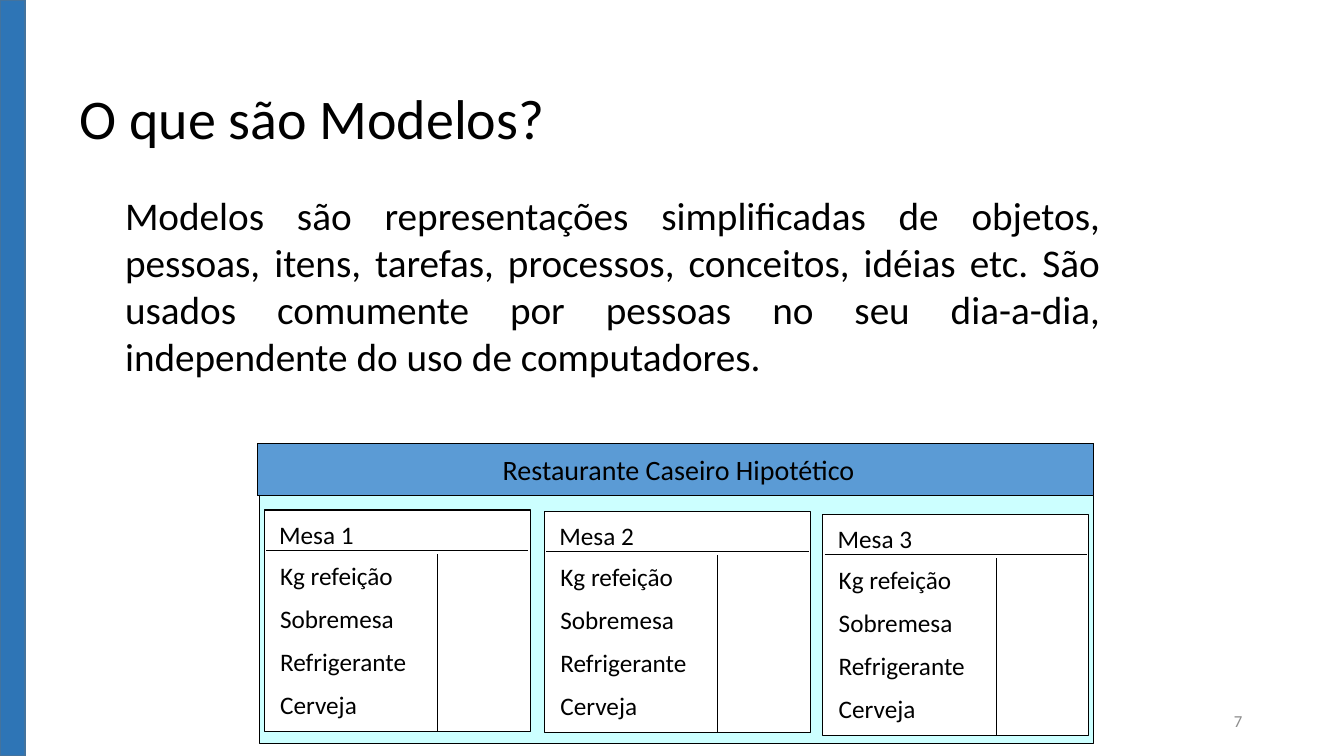
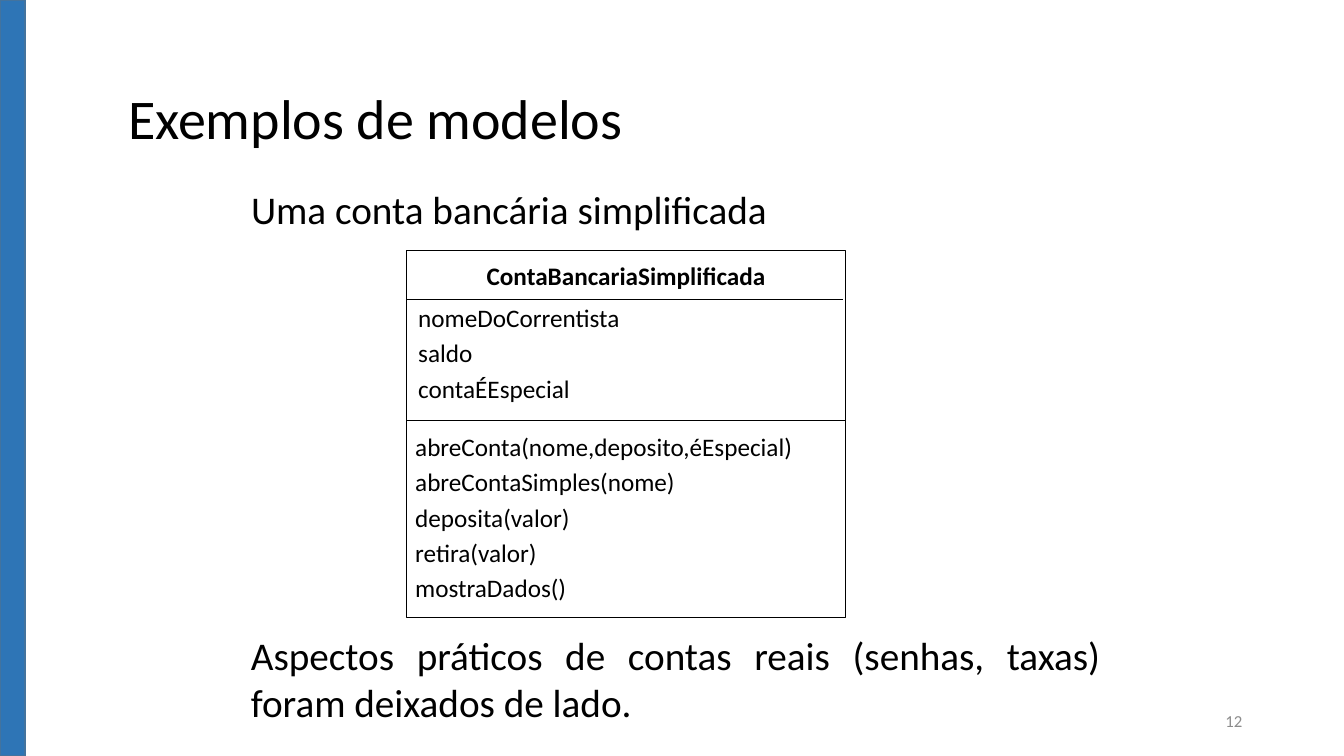
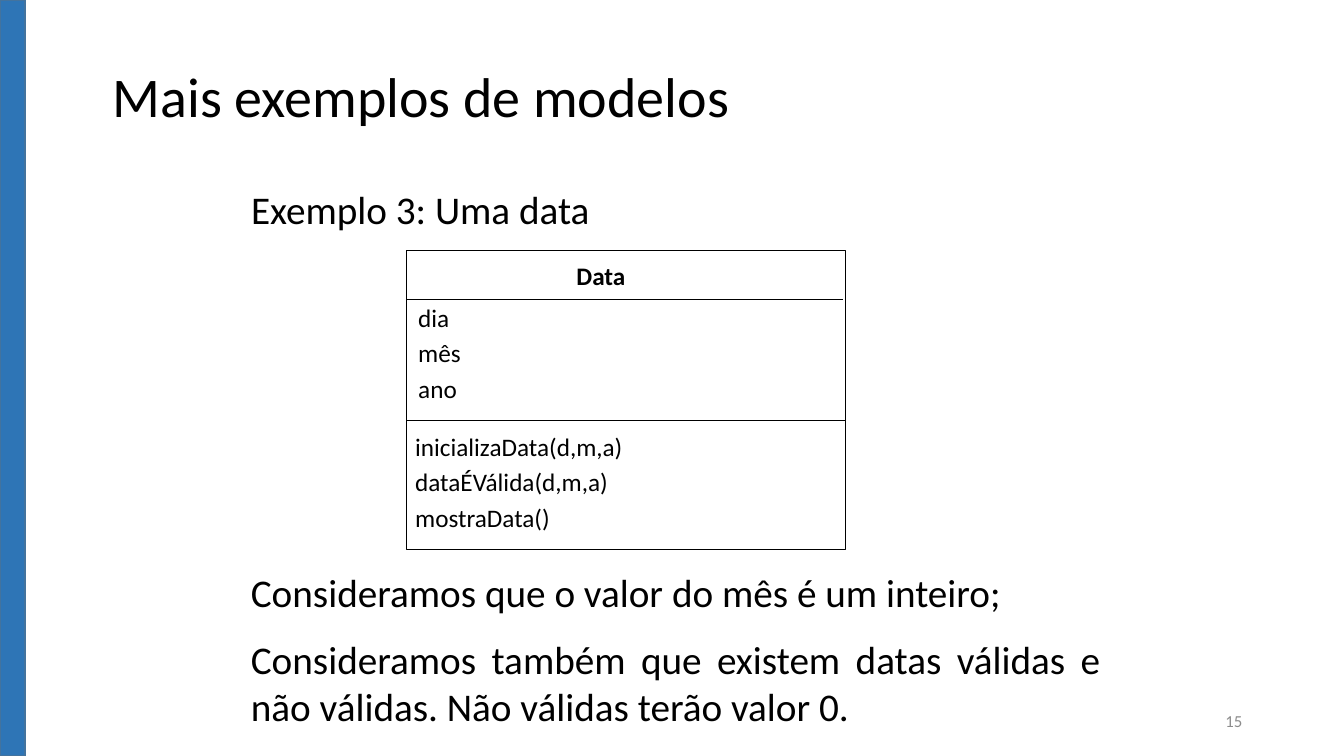
from pptx import Presentation
from pptx.dml.color import RGBColor
from pptx.enum.shapes import MSO_CONNECTOR as Conn, MSO_SHAPE as Geo
from pptx.enum.text import MSO_ANCHOR as Anchor, MSO_AUTO_SIZE as Fit, PP_ALIGN as Align
from pptx.oxml.ns import qn
from pptx.util import Inches, Pt
from lxml.etree import SubElement

# Shared look
FONT = "Calibri"
HEX = {"ink": "000000", "paper": "FFFFFF", "band": "2E75B6", "edge": "43739E",
       "head": "5B9BD5", "board": "CCFFFF", "page": "8C8C8C"}
MENU = ["Kg refeição", "Sobremesa", "Refrigerante", "Cerveja"]


def tint(name):
    return RGBColor.from_string(HEX[name])


# Text
def write(frame, lines, size=18, color="ink", bold=False, align=Align.LEFT,
          gap=0.5, anchor=Anchor.TOP):
    """Fill a frame with paragraphs; gap is a share of the text size."""
    frame.word_wrap = True
    frame.auto_size = Fit.NONE
    frame.vertical_anchor = anchor
    for i, line in enumerate(lines):
        par = frame.paragraphs[0] if i == 0 else frame.add_paragraph()
        par.alignment = align
        par.space_before = Pt(size * gap if i else 0)
        run = par.add_run()
        run.text = line
        font = run.font
        font.name, font.size, font.bold = FONT, Pt(size), bold
        font.color.rgb = tint(color)


def label(slide, at, lines, **form):
    box = slide.shapes.add_textbox(*map(Inches, at))
    write(box.text_frame, lines, **form)


def place(holder, at, lines, **form):
    holder.left, holder.top, holder.width, holder.height = map(Inches, at)
    write(holder.text_frame, lines, **form)


# Shapes and lines
def rect(slide, at, fill="paper", edge="ink", width=0.75):
    box = slide.shapes.add_shape(Geo.RECTANGLE, *map(Inches, at))
    box.shadow.inherit = False
    box.fill.solid()
    box.fill.fore_color.rgb = tint(fill)
    box.line.color.rgb = tint(edge)
    box.line.width = Pt(width)


def rule(slide, *ends):
    line = slide.shapes.add_connector(Conn.STRAIGHT, *map(Inches, ends))
    line.line.color.rgb = tint("ink")
    line.line.width = Pt(0.75)
    SubElement(line._element.spPr, qn("a:effectLst"))


# Slide frame: title, lead text, page number, side band
def start(deck, title, spot, lead, area, page):
    slide = deck.slides.add_slide(deck.slide_layouts[1])
    head, body = slide.placeholders
    place(head, spot, [title], size=40)
    place(body, area, [lead], size=28, align=Align.JUSTIFY)
    for par in body.text_frame.paragraphs:
        props = par._p.get_or_add_pPr()
        props.set("marL", "0")
        props.set("indent", "0")
        SubElement(props, qn("a:buNone"))
    label(slide, (9.42, 6.95, 3, 0.4), [str(page)], size=12, color="page",
          align=Align.RIGHT, anchor=Anchor.MIDDLE)
    rect(slide, (0, 0, 0.25, 7.5), fill="band", edge="edge", width=1)
    return slide


# Order card of one table in the restaurant
def card(slide, x, y, name):
    rect(slide, (x, y, 2.64, 2.2))
    label(slide, (x + 0.05, y + 0.04, 2.08, 0.4), [name])
    rule(slide, x + 0.02, y + 0.4, x + 2.62, y + 0.4)
    label(slide, (x + 0.06, y + 0.45, 2.22, 1.76), MENU)
    rule(slide, x + 1.72, y + 0.44, x + 1.72, y + 2.2)


# Class diagram: name, fields, methods
def model(slide, name, fields, calls, high, span):
    x, y = 4.03, 2.49
    rect(slide, (x, y, 4.36, high))
    rule(slide, x, 2.97, 8.36, 2.97)
    rule(slide, x, 4.17, 8.39, 4.17)
    label(slide, (4.01, 2.53, span, 0.4), [name], bold=True, align=Align.CENTER)
    label(slide, (4.05, 2.95, 3.8, 1.12), fields, gap=0.2)
    label(slide, (4.02, 4.23, 4.4, high - 1.8), calls, gap=0.2)


def note(slide, y, high, lines):
    label(slide, (2.39, y, 8.62, high), lines, size=28, align=Align.JUSTIFY)


def main():
    deck = Presentation()
    deck.slide_width, deck.slide_height = Inches(13.33), Inches(7.5)
    lead = (2.39, 1.79, 8.62, 0.57)

    # What models are
    slide = start(
        deck, "O que são Modelos?", (0.69, 0.78, 10.35, 0.77),
        "Modelos são representações simplificadas de objetos, pessoas, itens, "
        "tarefas, processos, conceitos, idéias etc. São usados comumente por "
        "pessoas no seu dia-a-dia, independente do uso de computadores.",
        (1.14, 1.85, 9.87, 1.99), 7)
    rect(slide, (2.57, 4.4, 8.28, 2.98), fill="board")
    rect(slide, (2.55, 4.4, 8.3, 0.52), fill="head")
    label(slide, (2.59, 4.44, 8.28, 0.43), ["Restaurante Caseiro Hipotético"],
          size=20, align=Align.CENTER)
    for i, (x, y) in enumerate([(2.62, 5.06), (5.4, 5.07), (8.16, 5.1)], 1):
        card(slide, x, y, f"Mesa {i}")

    # Bank account
    slide = start(deck, "Exemplos de modelos", (1.17, 0.78, 9.88, 0.77),
                  "Uma conta bancária simplificada", lead, 12)
    model(slide, "ContaBancariaSimplificada",
          ["nomeDoCorrentista", "saldo", "contaÉEspecial"],
          ["abreConta(nome,deposito,éEspecial)", "abreContaSimples(nome)",
           "deposita(valor)", "retira(valor)", "mostraDados()"], 3.64, 4.4)
    note(slide, 6.21, 1.03, ["Aspectos práticos de contas reais (senhas, taxas) "
                             "foram deixados de lado."])

    # Date
    slide = start(deck, "Mais exemplos de modelos", (1.02, 0.56, 8.64, 0.77),
                  "Exemplo 3: Uma data", lead, 15)
    model(slide, "Data", ["dia", "mês", "ano"],
          ["inicializaData(d,m,a)", "dataÉVálida(d,m,a)", "mostraData()"],
          2.96, 3.9)
    note(slide, 5.59, 1.74, ["Consideramos que o valor do mês é um inteiro;",
                             "Consideramos também que existem datas válidas e "
                             "não válidas. Não válidas terão valor 0."])

    deck.save("out.pptx")


main()
